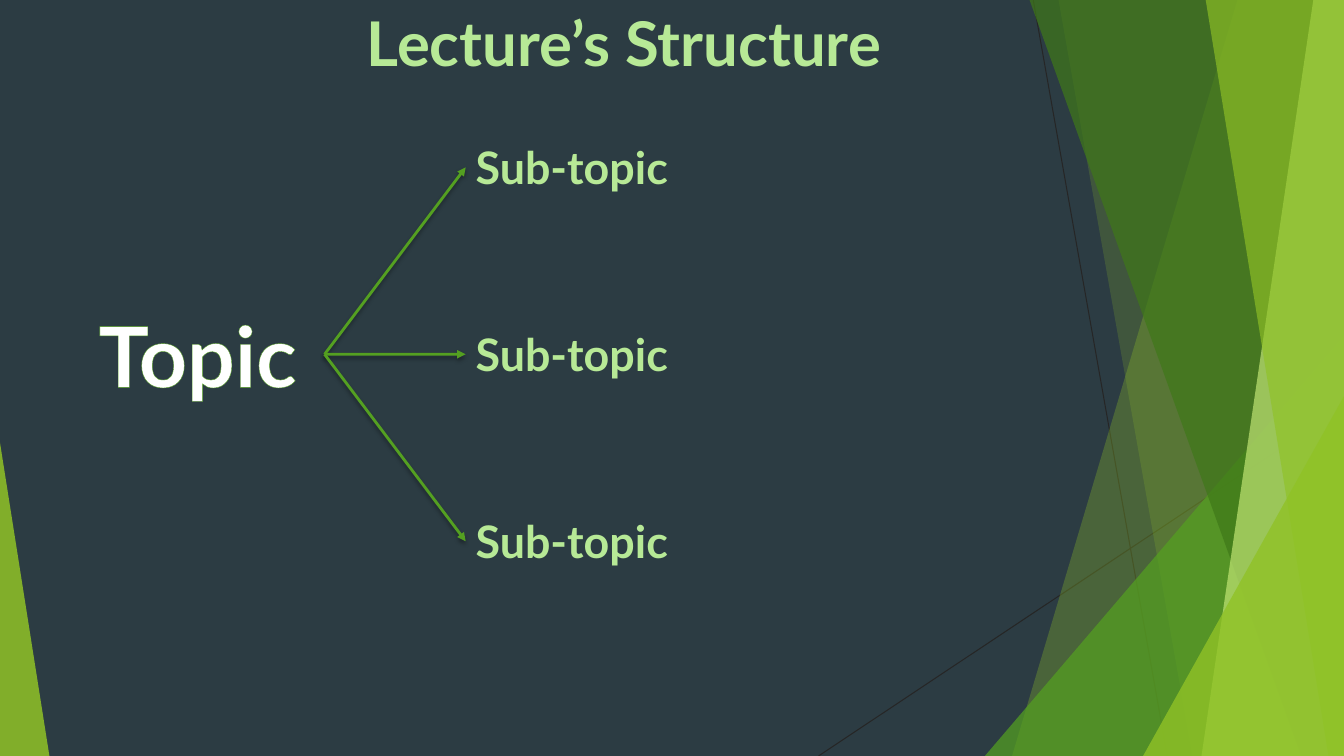
from lxml import etree
from pptx import Presentation
from pptx import util as u
from pptx.dml.color import RGBColor
from pptx.enum import shapes, text
from pptx.oxml.ns import qn

WIDTH, HEIGHT = u.Inches(13.333), u.Inches(7.5)
NIGHT, INK, WHITE = "2C3C43", "262626", "FFFFFF"
LIME, GREEN, FOREST, PALE, MINT = "90C226", "54A021", "3F7819", "C0E474", "B7E996"
TOP = -0.13

# Right-hand facets, back to front: kind, left edge at the top (or the
# triangle's left and top), colour and opacity. All lengths are % of the slide.
FACETS = [
    ("ribbon", (92.1, 75.3), LIME, 30),
    ("ribbon", (78.75, 88.73), LIME, 20),
    ("triangle", (73.28, 44.4), GREEN, 72),
    ("ribbon", (76.58, 96.83), FOREST, 70),
    ("ribbon", (97.73, 89.4), PALE, 70),
    ("ribbon", (89.7, 98.85), LIME, 65),
    ("triangle", (85.05, 52.4), LIME, 80),
]
TITLE = {"size": u.Pt(44), "color": MINT, "outline": 1.75}
TOPIC = {"size": u.Pt(60), "color": WHITE, "outline": 0.52}
SUBTOPIC = {"size": u.Pt(32), "color": MINT, "outline": 1.75}
SUBTOPIC_TOP, SUBTOPIC_STEP, SUBTOPIC_COUNT = 17.87, 24.73, 3


def across(share):
    return round(WIDTH * share / 100)


def down(share):
    return round(HEIGHT * share / 100)


def rgb(color):
    return RGBColor.from_string(color)


def add_element(parent, tag, **attributes):
    return etree.SubElement(parent, qn(tag), attributes)


def paint(shape, color, opacity):
    """Flat fill of the given opacity, with no line or shadow."""
    shape.shadow.inherit = False
    shape.line.fill.background()
    shape.fill.solid()
    shape.fill.fore_color.rgb = rgb(color)
    fill_color = shape.fill._xPr.find(qn("a:solidFill"))[0]
    add_element(fill_color, "a:alpha", val=str(opacity * 1000))


def add_ribbon(slide, top_left, bottom_left, color, opacity):
    """Area from a slanting left edge to the slide's right side."""
    corners = [(100, TOP), (100, 100), (bottom_left, 100)]
    builder = slide.shapes.build_freeform(across(top_left), down(TOP))
    builder.add_line_segments([(across(x), down(y)) for x, y in corners])
    paint(builder.convert_to_shape(), color, opacity)


def add_triangle(slide, left, right, top, apex, color, opacity):
    """Triangle standing on the slide's bottom edge."""
    shape = slide.shapes.add_shape(
        shapes.MSO_SHAPE.ISOSCELES_TRIANGLE,
        across(left), down(top), across(right - left), down(100 - top))
    shape.adjustments[0] = apex
    paint(shape, color, opacity)


def add_line(slide, start, end, color, width):
    line = slide.shapes.add_connector(
        shapes.MSO_CONNECTOR.STRAIGHT,
        across(start[0]), down(start[1]), across(end[0]), down(end[1]))
    line.line.color.rgb = rgb(color)
    line.line.width = u.Pt(width)
    add_element(line._element.spPr, "a:effectLst")
    return line


def add_arrow(slide, source, target):
    """Shadowed arrow from the right side of source to the left of target."""
    arrow = add_line(slide, (0, 0), (1, 1), GREEN, 2)
    arrow.begin_connect(source, 3)
    arrow.end_connect(target, 1)
    properties = arrow._element.spPr
    add_element(properties.find(qn("a:ln")), "a:tailEnd", type="triangle")
    shadow = add_element(
        properties.find(qn("a:effectLst")), "a:outerShdw",
        blurRad=str(u.Pt(3)), dist=str(u.Pt(2)), dir="5400000", rotWithShape="0")
    shade = add_element(shadow, "a:srgbClr", val="000000")
    add_element(shade, "a:alpha", val="35000")


def add_label(slide, words, left, top, width, height, style):
    box = slide.shapes.add_textbox(
        across(left), down(top), across(width), down(height))
    frame = box.text_frame
    frame.word_wrap = True
    frame.auto_size = text.MSO_AUTO_SIZE.SHAPE_TO_FIT_TEXT
    run = frame.paragraphs[0].add_run()
    run.text = words
    font_values = {"name": "Lato", "bold": True, "size": style["size"]}
    for name, value in font_values.items():
        setattr(run.font, name, value)
    run.font.color.rgb = rgb(style["color"])
    outline = etree.Element(qn("a:ln"), w=str(u.Pt(style["outline"])))
    add_element(add_element(outline, "a:solidFill"), "a:srgbClr", val=GREEN)
    run._r.get_or_add_rPr().insert(0, outline)
    return box


def add_backdrop(slide):
    slide.background.fill.solid()
    slide.background.fill.fore_color.rgb = rgb(NIGHT)
    add_line(slide, (76.88, 0), (86.85, 100), INK, 0.75)
    add_line(slide, (100, 53.73), (60.9, 100), INK, 0.75)
    for kind, (first, second), color, opacity in FACETS:
        if kind == "ribbon":
            add_ribbon(slide, first, second, color, opacity)
        else:
            add_triangle(slide, first, 100, second, 1, color, opacity)
    add_triangle(slide, 0, 3.68, 58.53, 0, LIME, 85)


def main():
    presentation = Presentation()
    presentation.slide_width, presentation.slide_height = WIDTH, HEIGHT
    slide = presentation.slides.add_slide(presentation.slide_layouts[6])
    add_backdrop(slide)
    topic = add_label(slide, "Topic", 6.6, 39.47, 17.55, 14.8, TOPIC)
    subtopics = [
        add_label(slide, "Sub-topic", 34.65, SUBTOPIC_TOP + row * SUBTOPIC_STEP,
                  19.88, 8.53, SUBTOPIC)
        for row in range(SUBTOPIC_COUNT)]
    for subtopic in subtopics:
        add_arrow(slide, topic, subtopic)
    add_label(slide, "Lecture’s Structure", 26.55, 0, 46.88, 11.2, TITLE)
    presentation.save("out.pptx")


if __name__ == "__main__":
    main()
